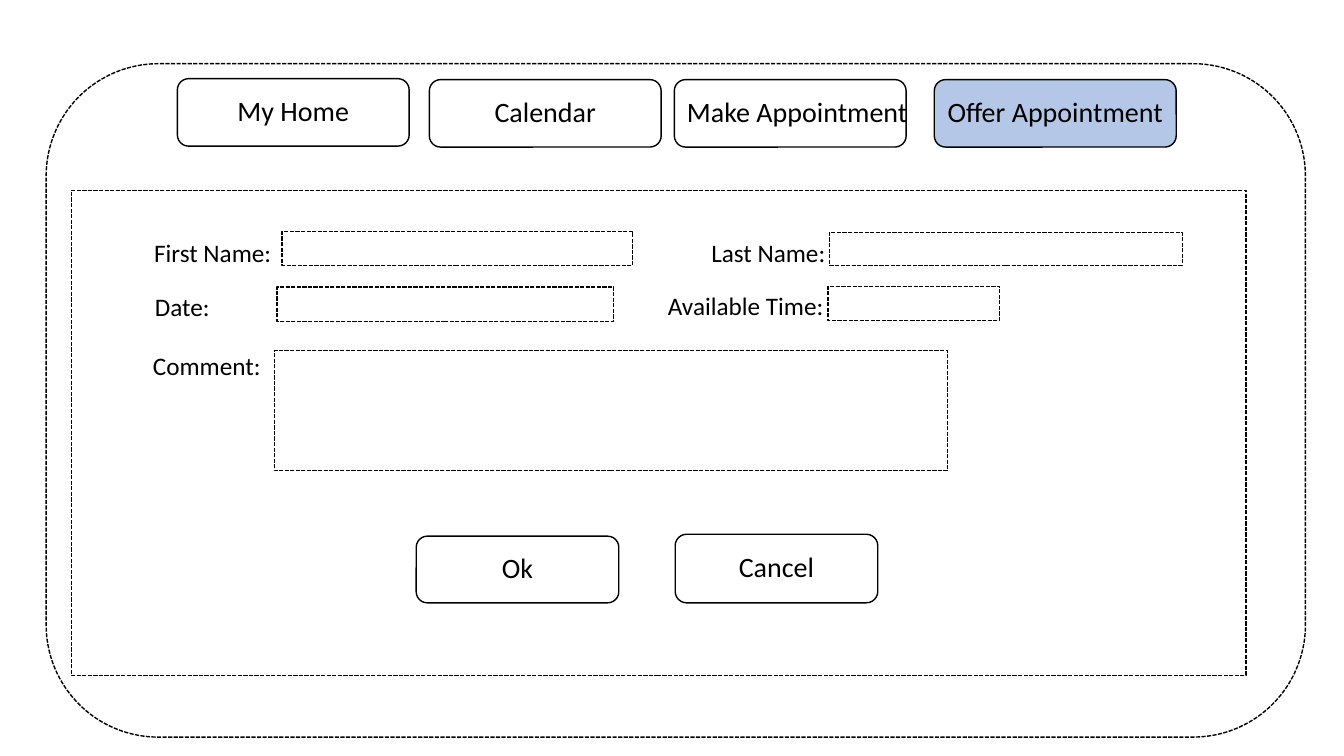
from dataclasses import dataclass

from pptx import Presentation
from pptx.dml.color import RGBColor
from pptx.enum.dml import MSO_LINE
from pptx.enum.shapes import MSO_SHAPE as SHAPE
from pptx.enum.text import MSO_ANCHOR as ANCHOR, PP_ALIGN as ALIGN
from pptx.util import Pt


@dataclass(frozen=True)
class Theme:
    """Colours, font and type sizes of the wireframe."""
    ink: RGBColor = RGBColor(0, 0, 0)
    paper: RGBColor = RGBColor(255, 255, 255)
    active: RGBColor = RGBColor(0xB4, 0xC7, 0xE7)
    font: str = "Calibri"
    button_size: int = 20
    label_size: int = 18
    line: int = 1


THEME = Theme()


def add_box(s, kind, box, fill=None, dashed=False):
    """Add an outlined shape at box (left, top, width, height)."""
    sp = s.shapes.add_shape(kind, *map(Pt, box))
    sp.shadow.inherit = False
    if fill is None:
        sp.fill.background()
    else:
        sp.fill.solid()
        sp.fill.fore_color.rgb = fill
    sp.line.color.rgb = THEME.ink
    sp.line.width = Pt(THEME.line)
    if dashed:
        sp.line.dash_style = MSO_LINE.SQUARE_DOT
    return sp


def write(tf, text, size, align):
    """Set one unwrapped line of text in a text frame."""
    tf.word_wrap = False
    p = tf.paragraphs[0]
    p.text = text
    p.alignment = align
    p.font.name = THEME.font
    p.font.size = Pt(size)
    p.font.color.rgb = THEME.ink


def add_button(s, box, text, fill=None, indent=0):
    """Add a rounded button; indent moves its caption to the right."""
    tf = add_box(s, SHAPE.ROUNDED_RECTANGLE, box, fill).text_frame
    tf.margin_left, tf.margin_right = Pt(indent), 0
    tf.margin_top, tf.margin_bottom = 0, Pt(3)
    tf.vertical_anchor = ANCHOR.MIDDLE
    write(tf, text, THEME.button_size, ALIGN.CENTER)


def add_field(s, label_at, text, box):
    """Add a dashed input box and its label."""
    add_box(s, SHAPE.RECTANGLE, box, THEME.paper, dashed=True)
    label = s.shapes.add_textbox(*map(Pt, (*label_at, 130, 29)))
    write(label.text_frame, text, THEME.label_size, ALIGN.LEFT)


def add_tabs(s, box):
    """Draw the navigation buttons within box."""
    left, top, _, height = box
    tabs = [  # x, y, width, caption, fill, caption indent
        (0, 0, 165.6, "My Home", None, 0),
        (180, 0.7, 165.6, "Calendar", None, 0),
        (355, 0.7, 165.6, "Make Appointment", None, 10),
        (540.7, 0.7, 172.8, "Offer Appointment", THEME.active, 0),
    ]
    for x, y, width, text, fill, indent in tabs:
        add_button(s, (left + x, top + y, width, height), text, fill, indent)


def add_form(s, box):
    """Draw the appointment form within box."""
    left, top = box[:2]
    add_box(s, SHAPE.RECTANGLE, box, THEME.paper, dashed=True)
    fields = [  # label x, label y, label, input box
        (52, 30.3, "First Name:", (150.5, 29.5, 250.5, 24)),
        (450, 30.3, "Last Name:", (541.5, 30, 252, 23.5)),
        (52.6, 68.5, "Date:", (147, 69, 240.5, 24.5)),
        (419, 67.5, "Available Time:", (540.5, 68.5, 122.5, 24.5)),
        (51.2, 111, "Comment:", (145, 114.5, 481, 85.7)),
    ]
    for x, y, text, (fx, fy, width, height) in fields:
        add_field(s, (left + x, top + y), text,
                  (left + fx, top + fy, width, height))
    buttons = [("Ok", 246.3, 247, 47.6), ("Cancel", 431.3, 245.6, 49)]
    for text, x, y, height in buttons:
        add_button(s, (left + x, top + y, 144.7, height), text)


def add_screen(s, box):
    """Draw the whole screen: frame, navigation and form."""
    left, top, width, height = box
    add_box(s, SHAPE.ROUNDED_RECTANGLE, box, dashed=True)
    add_tabs(s, (left + 93.7, top + 10.7, width - 186, 48.2))
    add_form(s, (left + 18, top + 90.5, width - 60.5, height - 134.5))


prs = Presentation()
prs.slide_width, prs.slide_height = Pt(960), Pt(540)
s = prs.slides.add_slide(prs.slide_layouts[6])
add_screen(s, (33, 45.5, 899.5, 481))
prs.save("out.pptx")
